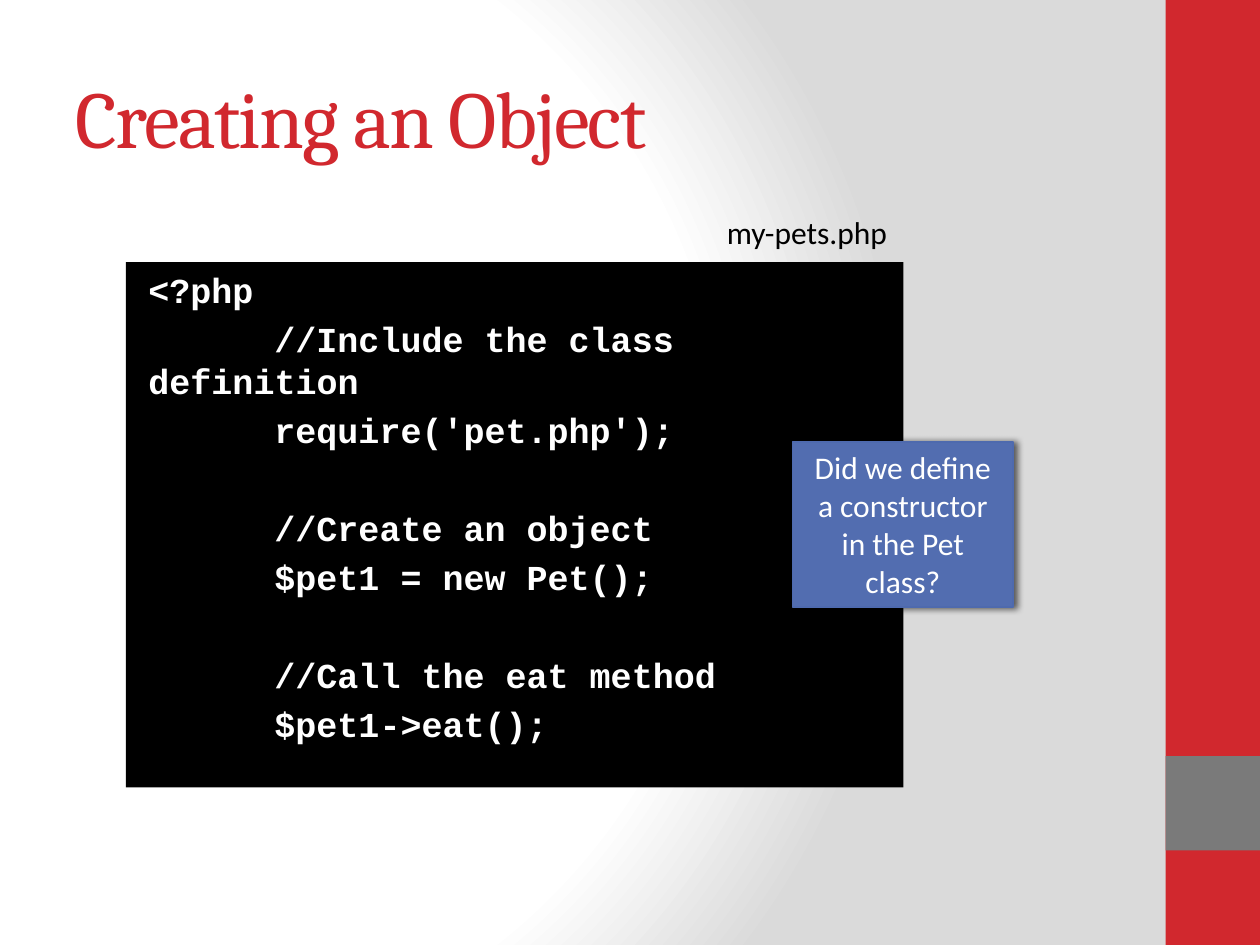
from pptx import Presentation
from pptx.dml.color import RGBColor
from pptx.enum.shapes import MSO_SHAPE
from pptx.enum.text import MSO_ANCHOR as Anchor, MSO_AUTO_SIZE as AutoSize, PP_ALIGN as Align
from pptx.oxml import parse_xml
from pptx.oxml.ns import nsdecls
from pptx.util import Inches, Pt

RED = RGBColor(0xD1, 0x28, 0x2E)
GRAY = RGBColor(0x7A, 0x7A, 0x7A)
BLACK = RGBColor(0, 0, 0)
WHITE = RGBColor(0xFF, 0xFF, 0xFF)
BLUE = RGBColor(0x52, 0x6D, 0xB0)
BLUE_EDGE = RGBColor(0x4E, 0x6A, 0xAE)

CODE = """<?php
\t//Include the class definition
\trequire('pet.php');

\t//Create an object
\t$pet1 = new Pet();

\t//Call the eat method
\t$pet1->eat();"""


class SlideBuilder:
    title_font = "Cambria"
    body_font = "Calibri"
    code_font = "Courier New"

    def __init__(self, presentation):
        self.slide = presentation.slides.add_slide(presentation.slide_layouts[5])

    def format_font(self, font, name, size, color, bold=False):
        font.name = name
        font.size = Pt(size)
        font.color.rgb = color
        font.bold = bold

    def background(self):
        stops = "".join(
            f'<a:gs pos="{position * 1000}"><a:srgbClr val="{color}"/></a:gs>'
            for position, color in ((0, "FFFFFF"), (75, "FFFFFF"), (100, "DADADA"))
        )
        self.slide.element.cSld.insert(0, parse_xml(
            f'<p:bg {nsdecls("p", "a")}><p:bgPr><a:gradFill rotWithShape="1">'
            f'<a:gsLst>{stops}</a:gsLst><a:path path="circle">'
            '<a:fillToRect l="20000" t="50000" r="100000" b="50000"/></a:path>'
            '</a:gradFill><a:effectLst/></p:bgPr></p:bg>'
        ))

    def title(self, text, left, top, width, height):
        title = self.slide.shapes.title
        title.left, title.top = Inches(left), Inches(top)
        title.width, title.height = Inches(width), Inches(height)
        frame = title.text_frame
        frame.text = text
        frame.vertical_anchor = Anchor.MIDDLE
        paragraph = frame.paragraphs[0]
        paragraph.alignment = Align.LEFT
        font = paragraph.runs[0].font
        self.format_font(font, self.title_font, 46, RED)
        paragraph.runs[0]._r.get_or_add_rPr().set("spc", "-100")

    def rectangle(self, left, top, width, height, fill):
        shape = self.slide.shapes.add_shape(
            MSO_SHAPE.RECTANGLE, Inches(left), Inches(top), Inches(width), Inches(height)
        )
        shape.shadow.inherit = False
        shape.fill.solid()
        shape.fill.fore_color.rgb = fill
        shape.line.fill.background()
        return shape

    def code_box(self, code, left, top, width, height):
        frame = self.rectangle(left, top, width, height, BLACK).text_frame
        frame.word_wrap = True
        frame.vertical_anchor = Anchor.TOP
        for index, line in enumerate(code.split("\n")):
            paragraph = frame.paragraphs[0] if index == 0 else frame.add_paragraph()
            if line:
                paragraph.add_run().text = line.lstrip("\t")
            properties = paragraph._p.get_or_add_pPr()
            properties.set("marL", str(Inches(0.08)))
            properties.set("indent", str(Inches(line.count("\t"))))
            paragraph.alignment = Align.LEFT
            paragraph.line_spacing = Pt(24)
            if index:
                paragraph.space_before = Pt(4)
            self.format_font(paragraph.font, self.code_font, 20, WHITE, bold=True)

    def label(self, text, left, top, width, height):
        box = self.slide.shapes.add_textbox(
            Inches(left), Inches(top), Inches(width), Inches(height)
        )
        frame = box.text_frame
        frame.text = text
        frame.word_wrap = False
        frame.auto_size = AutoSize.SHAPE_TO_FIT_TEXT
        self.format_font(frame.paragraphs[0].font, self.body_font, 18, BLACK)

    def callout(self, text, left, top, width, height):
        shape = self.rectangle(left, top, width, height, BLUE)
        shape.line.color.rgb = BLUE_EDGE
        shape.line.width = Pt(1)
        effects = shape._element.spPr.find("{*}effectLst")
        effects.append(parse_xml(
            f'<a:outerShdw {nsdecls("a")} blurRad="{Pt(4)}" dist="{Pt(2)}" dir="0" '
            'rotWithShape="0"><a:srgbClr val="000000"><a:alpha val="60000"/>'
            '</a:srgbClr></a:outerShdw>'
        ))
        frame = shape.text_frame
        frame.text = text
        frame.word_wrap = True
        frame.auto_size = AutoSize.SHAPE_TO_FIT_TEXT
        frame.vertical_anchor = Anchor.TOP
        paragraph = frame.paragraphs[0]
        paragraph.alignment = Align.CENTER
        self.format_font(paragraph.font, self.body_font, 18, WHITE)


def main():
    presentation = Presentation()
    presentation.slide_width = Inches(10)
    presentation.slide_height = Inches(7.5)
    builder = SlideBuilder(presentation)
    builder.background()
    builder.rectangle(9.25, 0, 0.75, 7.5, RED)
    builder.rectangle(9.25, 6, 0.75, 0.75, GRAY)
    builder.title("Creating an Object", 0.5, 0.3, 8.33, 1.25)
    builder.code_box(CODE, 1, 2.08, 6.17, 4.17)
    builder.label("my-pets.php", 5.67, 1.64, 1.49, 0.4)
    builder.callout("Did we define a constructor in the Pet class?", 6.29, 3.51, 1.75, 1.31)
    presentation.save("out.pptx")


if __name__ == "__main__":
    main()
